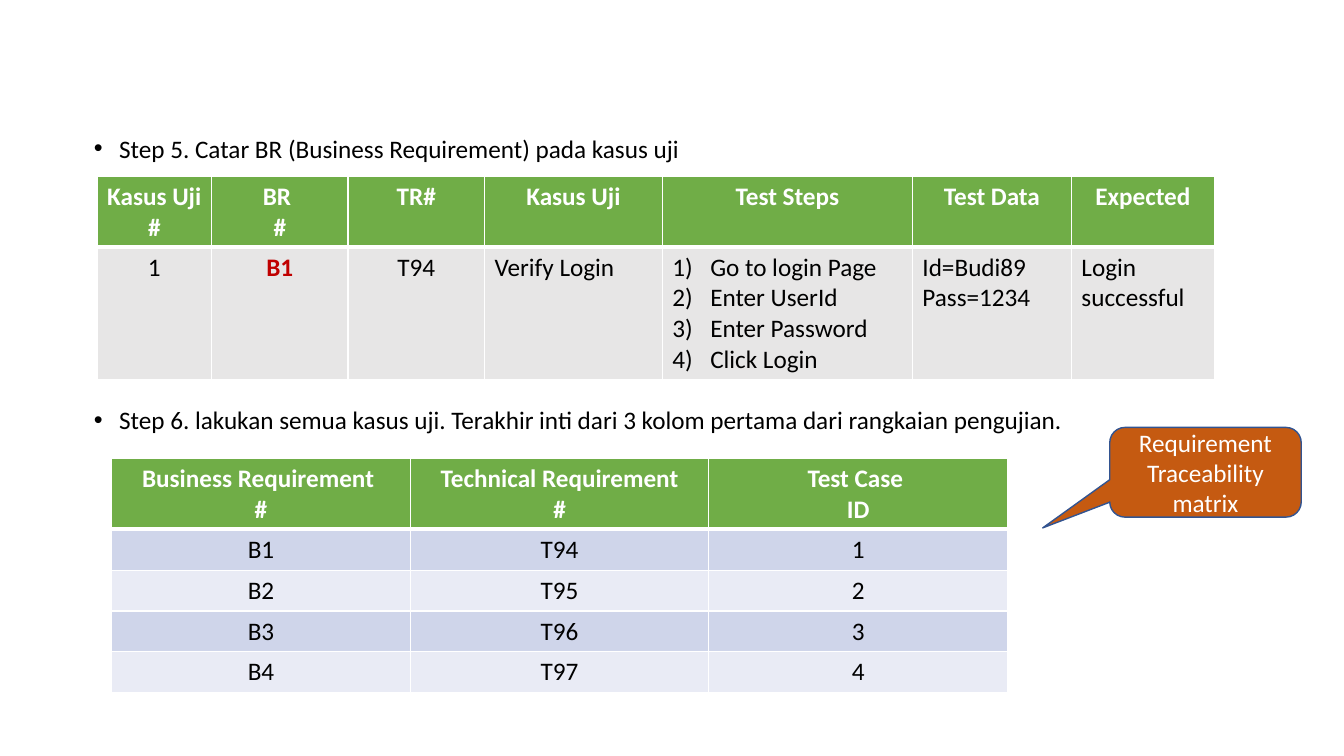
from lxml.etree import SubElement
from pptx import Presentation
from pptx.dml.color import RGBColor
from pptx.enum.shapes import MSO_SHAPE as Shape
from pptx.enum.text import MSO_ANCHOR as Anchor, PP_ALIGN as Align
from pptx.oxml import parse_xml
from pptx.oxml.ns import nsdecls, qn
from pptx.util import Pt

FONT, SIZE = "Calibri", 18
WHITE, BLACK, RED = "FFFFFF", "000000", "C00000"
GREEN, GREY, ORANGE, NAVY = "70AD47", "E7E6E6", "C55A11", "325491"
BANDS = ["CFD5EA", "E9EBF5"]

STEPS = [
    "Step 5. Catar BR (Business Requirement) pada kasus uji",
    "Step 6. lakukan semua kasus uji. Terakhir inti dari 3 kolom pertama dari rangkaian pengujian.",
]
STEPS_BOX = (60, 91.5, 768, 401)
STEP_GAP = 172.3

CASE_ROWS = [
    ["Kasus Uji\n#", "BR \n#", "TR#", "Kasus Uji", "Test Steps", "Test Data", "Expected"],
    ["1", "B1", "T94", "Verify Login",
     "Go to login Page\nEnter UserId\nEnter Password\nClick Login",
     "Id=Budi89\nPass=1234", "Login successful"],
]
CASE_WIDTHS = [81.8, 97.5, 97.5, 127.1, 178.6, 113.6, 102.1]
CASE_HEIGHTS = [50.4, 94.8]
CENTRED_CASE_COLUMNS = 3
BR_COLUMN, STEPS_COLUMN = 1, 4

TRACE_ROWS = [
    ["Business Requirement \n#", "Technical Requirement\n#", "Test Case \nID"],
    *[[f"B{number}", f"T{93 + number}", str(number)] for number in range(1, 5)],
]
TRACE_WIDTHS = [213.3] * 3
TRACE_HEIGHTS = [50.4] + [29.2] * 4

CALLOUT = "Requirement Traceability matrix"
CALLOUT_BOX = (792.7, 305.3, 136.8, 64.1)
CALLOUT_TAIL = (-0.85, 0.62, 0.17)


def colour(value):
    return RGBColor.from_string(value)


def paint(shape_fill, value):
    shape_fill.solid()
    shape_fill.fore_color.rgb = colour(value)


def write(frame, lines, ink, align=Align.LEFT, bold=False):
    for index, line in enumerate(lines):
        para = frame.paragraphs[0] if index == 0 else frame.add_paragraph()
        para.alignment = align
        span = para.add_run()
        span.text = line
        span.font.name, span.font.size, span.font.bold = FONT, Pt(SIZE), bold
        span.font.color.rgb = colour(ink)


def mark(para, indent, tag, **settings):
    props = para._p.get_or_add_pPr()
    props.set("marL", str(Pt(indent)))
    props.set("indent", str(-Pt(indent)))
    SubElement(props, qn("a:buFont"), typeface="Arial" if tag == "a:buChar" else "+mj-lt")
    SubElement(props, qn(tag), **settings)


def add_borders(cell, bottom):
    props = cell._tc.get_or_add_tcPr()
    for index, (side, width) in enumerate(zip("LRTB", [1, 1, 1, bottom])):
        props.insert(index, parse_xml(
            f'<a:ln{side} {nsdecls("a")} w="{Pt(width)}"><a:solidFill>'
            f'<a:srgbClr val="{WHITE}"/></a:solidFill></a:ln{side}>'))


def add_grid(page, left, top, rows, widths, heights, bands, centred):
    grid = page.shapes.add_table(len(rows), len(widths), Pt(left), Pt(top),
                                 Pt(sum(widths)), Pt(sum(heights))).table
    for column, width in zip(grid.columns, widths):
        column.width = Pt(width)
    for row, height in zip(grid.rows, heights):
        row.height = Pt(height)
    for r, texts in enumerate(rows):
        header = r == 0
        for c, text in enumerate(texts):
            cell = grid.cell(r, c)
            paint(cell.fill, GREEN if header else bands[(r - 1) % len(bands)])
            add_borders(cell, 3 if header else 1)
            align = Align.CENTER if header or c < centred else Align.LEFT
            write(cell.text_frame, text.split("\n"), WHITE if header else BLACK, align, header)
    return grid


deck = Presentation()
deck.slide_width, deck.slide_height = Pt(960), Pt(540)
page = deck.slides.add_slide(deck.slide_layouts[6])

steps = page.shapes.add_textbox(*map(Pt, STEPS_BOX)).text_frame
steps.word_wrap = True
write(steps, STEPS, BLACK)
for para in steps.paragraphs:
    mark(para, 18, "a:buChar", char="•")
steps.paragraphs[1].space_before = Pt(STEP_GAP)

cases = add_grid(page, 69.3, 126, CASE_ROWS, CASE_WIDTHS, CASE_HEIGHTS,
                 [GREY], CENTRED_CASE_COLUMNS)
requirement = cases.cell(1, BR_COLUMN).text_frame.paragraphs[0].runs[0].font
requirement.bold, requirement.color.rgb = True, colour(RED)
for para in cases.cell(1, STEPS_COLUMN).text_frame.paragraphs:
    mark(para, 27, "a:buAutoNum", type="arabicParenR")

add_grid(page, 79.8, 327.6, TRACE_ROWS, TRACE_WIDTHS, TRACE_HEIGHTS, BANDS, len(TRACE_WIDTHS))

callout = page.shapes.add_shape(Shape.ROUNDED_RECTANGULAR_CALLOUT, *map(Pt, CALLOUT_BOX))
for index, value in enumerate(CALLOUT_TAIL):
    callout.adjustments[index] = value
callout.shadow.inherit = False
paint(callout.fill, ORANGE)
callout.line.color.rgb, callout.line.width = colour(NAVY), Pt(1)
callout.text_frame.word_wrap = True
callout.text_frame.vertical_anchor = Anchor.MIDDLE
write(callout.text_frame, [CALLOUT], WHITE, Align.CENTER)

deck.save("out.pptx")
